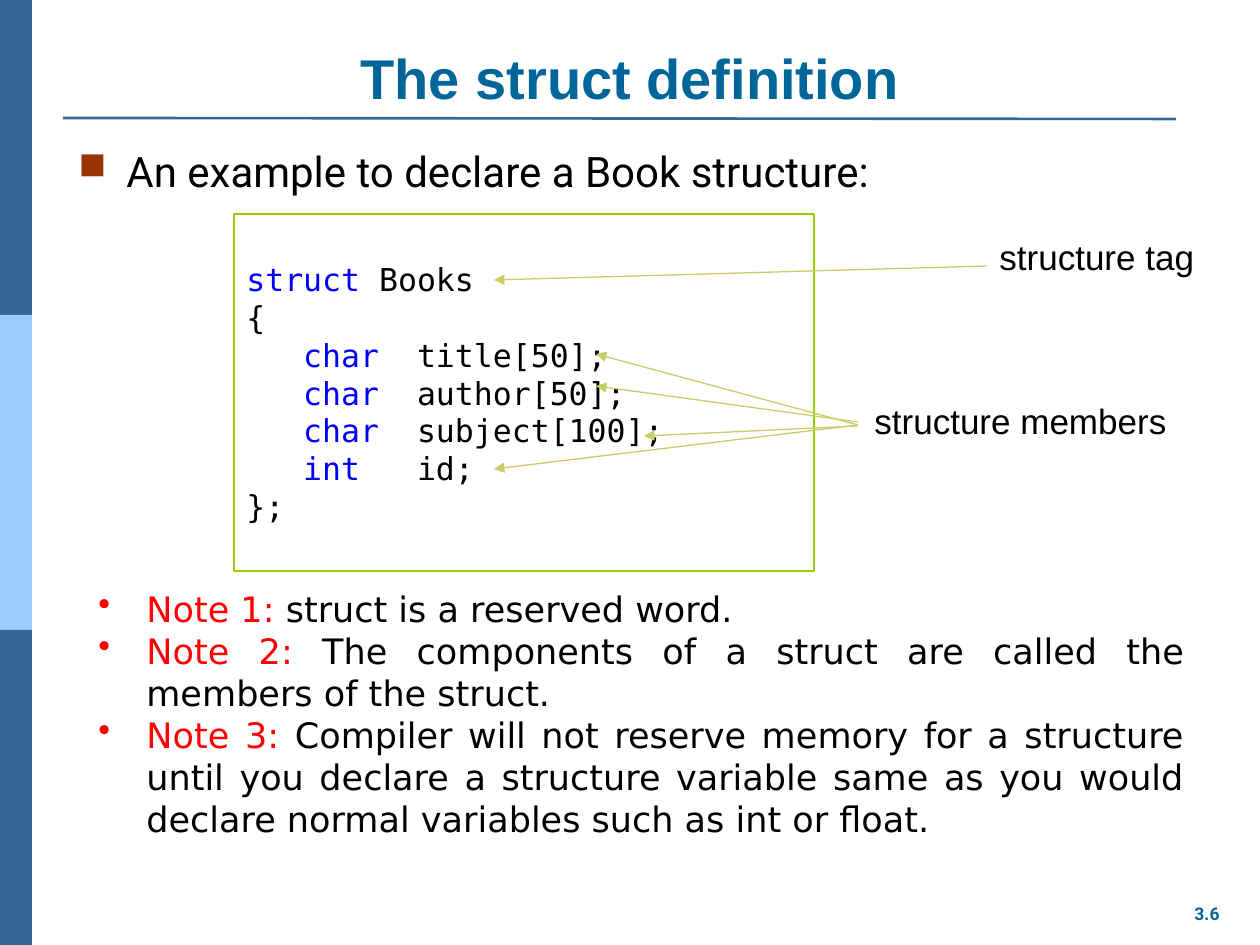
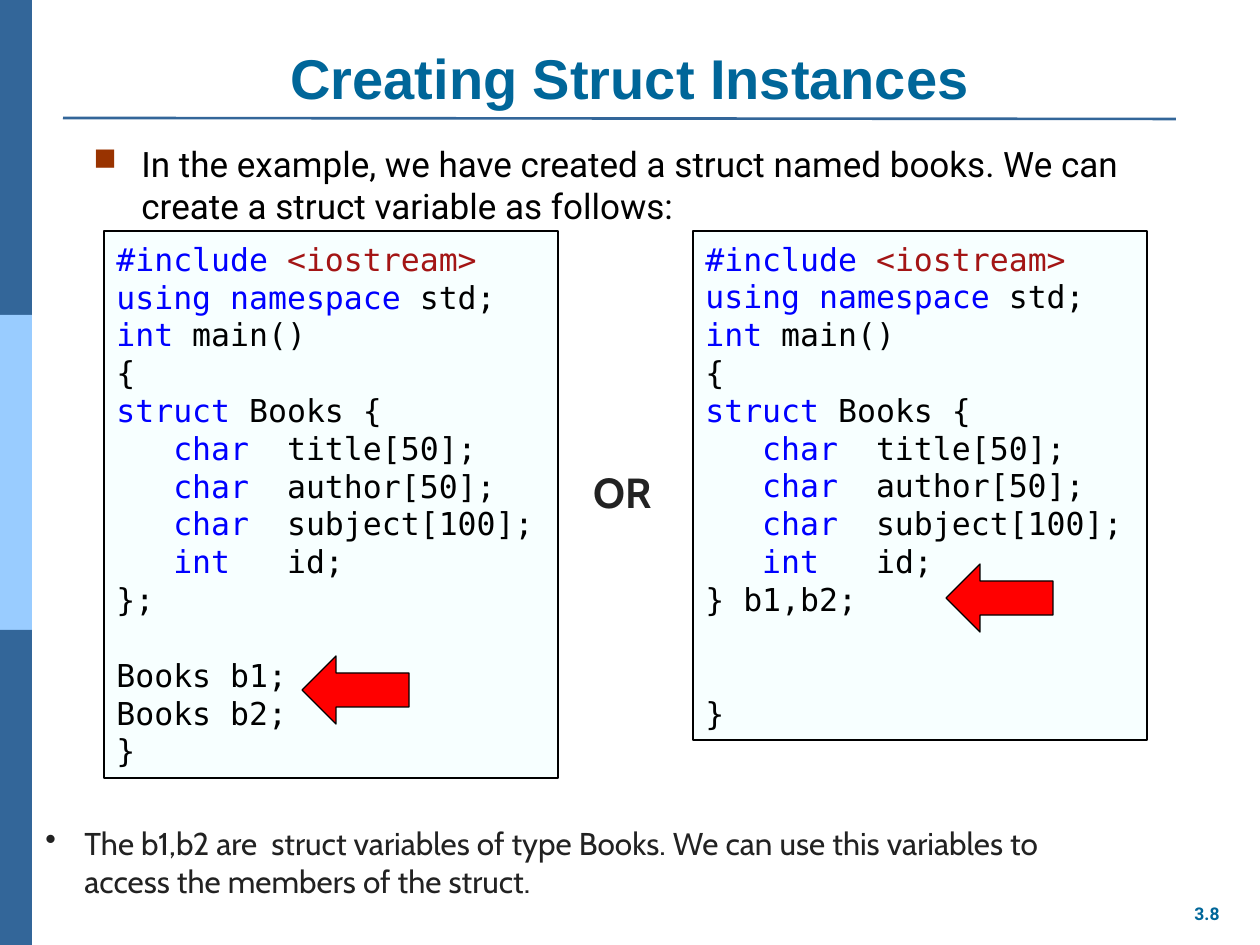
from lxml import etree
from pptx import Presentation
from pptx import util as u
from pptx.dml.color import RGBColor
from pptx.enum import shapes, text
from pptx.oxml import ns

PX = u.Inches(1) / 126
COLORS = {
    "band": "336699", "band_mid": "99CCFF", "title": "006699", "square": "993300",
    "black": "000000", "ink": "222222", "red": "FF0000", "keyword": "0000FF",
    "header": "A31515", "green": "99CC00", "pointer": "CCCC66", "panel": "F7FFFF",
}
MONO = "DejaVu Sans Mono"
LEFT, CENTER, JUSTIFY = text.PP_ALIGN.LEFT, text.PP_ALIGN.CENTER, text.PP_ALIGN.JUSTIFY
TOP, MIDDLE, BOTTOM = text.MSO_ANCHOR.TOP, text.MSO_ANCHOR.MIDDLE, text.MSO_ANCHOR.BOTTOM
RECT, ARROW = shapes.MSO_SHAPE.RECTANGLE, shapes.MSO_SHAPE.LEFT_ARROW


def add_box(slide, place, paragraphs=(), preset=None, fill=None, edge=None, size=18,
            font="Arial", color="black", bold=False, align=LEFT, anchor=TOP, wrap=True,
            bullet=None, bullet_color=None, bullet_size=100, indent=48, gaps={}):
    """Each paragraph is a list of (text, color) runs; gaps maps a paragraph index to px."""
    place = [round(v * PX) for v in place]
    if preset is None:
        box = slide.shapes.add_textbox(*place)
    else:
        box = slide.shapes.add_shape(preset, *place)
        box.shadow.inherit = False
        for part, shade in ((box.fill, fill), (box.line.fill, edge)):
            if shade:
                part.solid()
                part.fore_color.rgb = RGBColor.from_string(COLORS[shade])
            else:
                part.background()
        if edge:
            box.line.width = u.Pt(0.75)
    frame = box.text_frame
    frame.word_wrap = wrap
    frame.vertical_anchor = anchor
    for i, runs in enumerate(paragraphs):
        para = frame.add_paragraph() if i else frame.paragraphs[0]
        para.alignment = align
        if i in gaps:
            para.space_before = round(gaps[i] * PX)
        if bullet:
            props = para._p.get_or_add_pPr()
            props.set("marL", str(round(indent * PX)))
            props.set("indent", str(round(-indent * PX)))
            if bullet_color:
                tint = etree.SubElement(props, ns.qn("a:buClr"))
                etree.SubElement(tint, ns.qn("a:srgbClr"), val=COLORS[bullet_color])
            etree.SubElement(props, ns.qn("a:buSzPct"), val=str(bullet_size * 1000))
            etree.SubElement(props, ns.qn("a:buChar"), char=bullet)
        for words, shade in [(runs, color)] if isinstance(runs, str) else runs:
            run = para.add_run()
            run.text = words
            run.font.name, run.font.size, run.font.bold = font, u.Pt(size), bold
            run.font.color.rgb = RGBColor.from_string(COLORS[shade])


def add_line(slide, start, end, color, width, arrowhead=False):
    ends = [round(v * PX) for v in (*start, *end)]
    line = slide.shapes.add_connector(shapes.MSO_CONNECTOR.STRAIGHT, *ends)
    line.line.color.rgb = RGBColor.from_string(COLORS[color])
    line.line.width = u.Pt(width)
    if arrowhead:
        etree.SubElement(line.line._get_or_add_ln(), ns.qn("a:tailEnd"), type="triangle")
    etree.SubElement(line._element.spPr, ns.qn("a:effectLst"))


deck = Presentation()
deck.slide_width, deck.slide_height = round(1260 * PX), round(945 * PX)

# Shared frame: side bands, title with rule, lead bullet, page number
pages = [
    ("The struct definition", "3.6",
     "An example to declare a Book structure:", 24, (66, 139, 1152, 79)),
    ("Creating Struct Instances", "3.8",
     "In the example, we have created a struct named books. "
     "We can create a struct variable as follows:", 20, (81, 136, 1152, 96)),
]
for title, number, lead, lead_size, lead_place in pages:
    slide = deck.slides.add_slide(deck.slide_layouts[6])
    for i, band in enumerate(("band", "band_mid", "band")):
        add_box(slide, (0, 315 * i, 32, 315), preset=RECT, fill=band)
    add_line(slide, (63, 118), (1176, 119), "band", 1.5)
    add_box(slide, (63, 38, 1134, 79), [title], size=32, color="title", bold=True,
            align=CENTER, anchor=BOTTOM)
    add_box(slide, lead_place, [lead], size=lead_size, font="Roboto",
            bullet="■", bullet_color="square", bullet_size=90)
    add_box(slide, (1176, 897, 62, 34), [number], size=10, font="Roboto", color="title",
            bold=True, align=CENTER, wrap=False)
definition, instances = deck.slides

# Code shared by both slides
members = [[(f"   {kind}", "keyword"), (name, "black")] for kind, name in (
    ("char", "  title[50];"), ("char", "  author[50];"),
    ("char", "  subject[100];"), ("int", "   id;"))]
struct_word = ("struct", "keyword")

# Definition: code panel
add_box(definition, (234, 214, 580, 357),
        [[struct_word, (" Books", "black")], "{", *members, "};"],
        preset=RECT, edge="green", font=MONO, anchor=MIDDLE)

# Definition: notes
notes = [
    ("Note 1: ", "struct is a reserved word."),
    ("Note 2: ", "The components of a struct are called the members of the struct."),
    ("Note 3: ", "Compiler will not reserve memory for a structure until you declare a "
                 "structure variable same as you would declare normal variables such as "
                 "int or float."),
]
add_box(definition, (86, 581, 1111, 267),
        [[(label, "red"), (note, "black")] for label, note in notes],
        size=20, font="DejaVu Sans", align=JUSTIFY, bullet="•", bullet_color="red")

# Definition: labels and their pointers
add_box(definition, (987, 229, 222, 55), ["structure tag"], size=20, wrap=False)
add_box(definition, (862, 393, 357, 54), ["structure members"], size=20)
for start, end in (((987, 266), (494, 280)), ((858, 425), (596, 354)),
                   ((858, 422), (596, 386)), ((858, 426), (644, 436)),
                   ((858, 425), (494, 469))):
    add_line(definition, start, end, "pointer", 0.75, arrowhead=True)

# Instances: two ways to declare the variables, each with an arrow at the declaration
program = [
    [("#include ", "keyword"), ("<iostream>", "header")],
    [("using namespace ", "keyword"), ("std;", "black")],
    [("int", "keyword"), (" main()", "black")],
    "{",
    [struct_word, (" Books {", "black")],
    *members,
]
CODE_LINE = 38
variants = [
    (104, 547, ["};", "Books b1;", "Books b2;", "}"], 1, (302, 656)),
    (693, 509, ["} b1,b2;", "}"], 2, (946, 564)),
]
for left, height, ending, skipped, arrow in variants:
    add_box(instances, (left, 231, 454, height), program + ending, preset=RECT,
            fill="panel", edge="black", font=MONO, anchor=MIDDLE,
            gaps={len(program) + 1: skipped * CODE_LINE})
    add_box(instances, (*arrow, 107, 68), preset=ARROW, fill="red", edge="black")
add_box(instances, (581, 460, 89, 63), ["OR"], size=24, font="Cabin", color="ink",
        bold=True, wrap=False)

# Instances: closing remark
add_box(instances, (33, 818, 1050, 89),
        ["The b1,b2 are  struct variables of type Books. We can use this variables to "
         "access the members of the struct."],
        font="Cabin", color="ink", bullet="•", indent=39)

deck.save("out.pptx")
